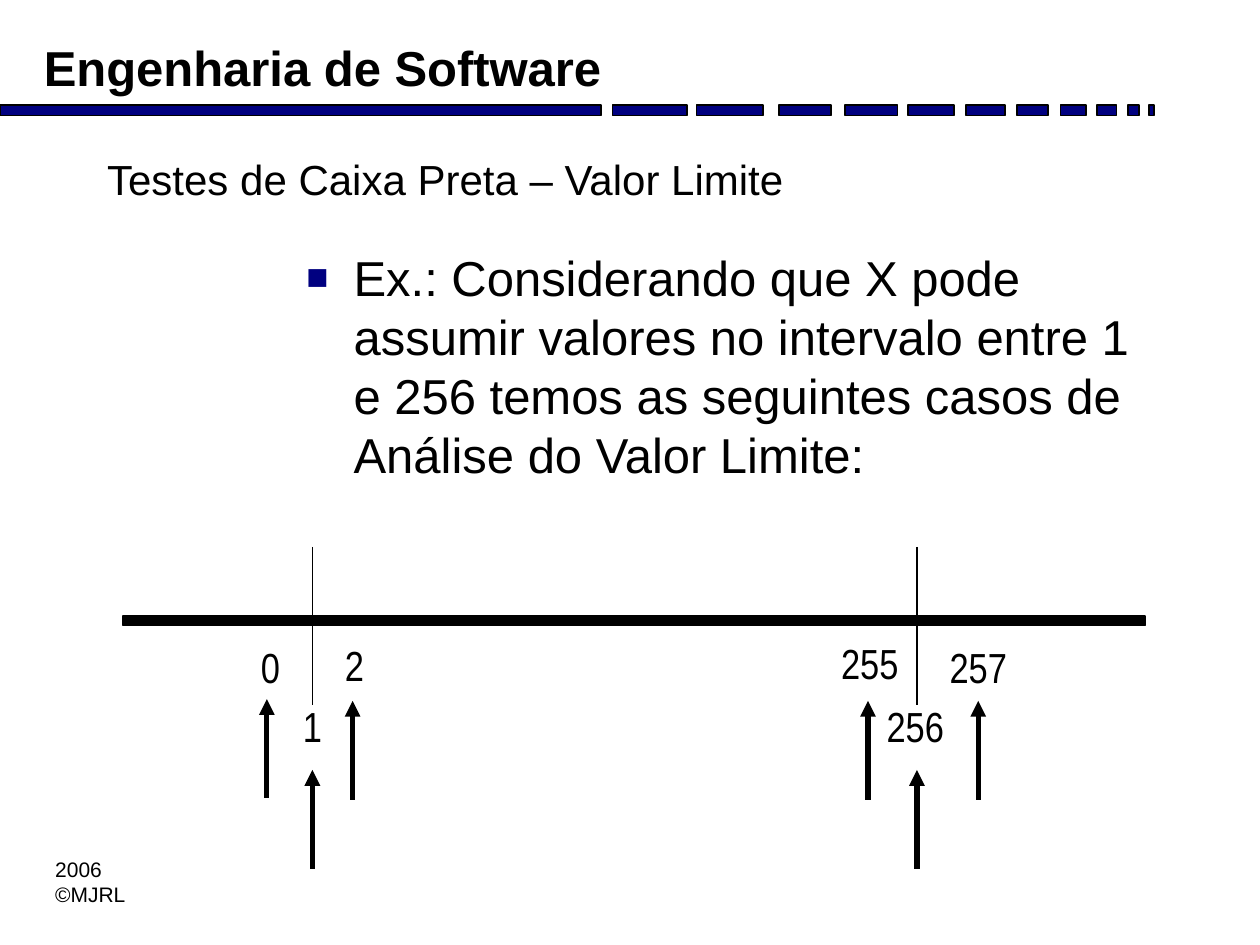
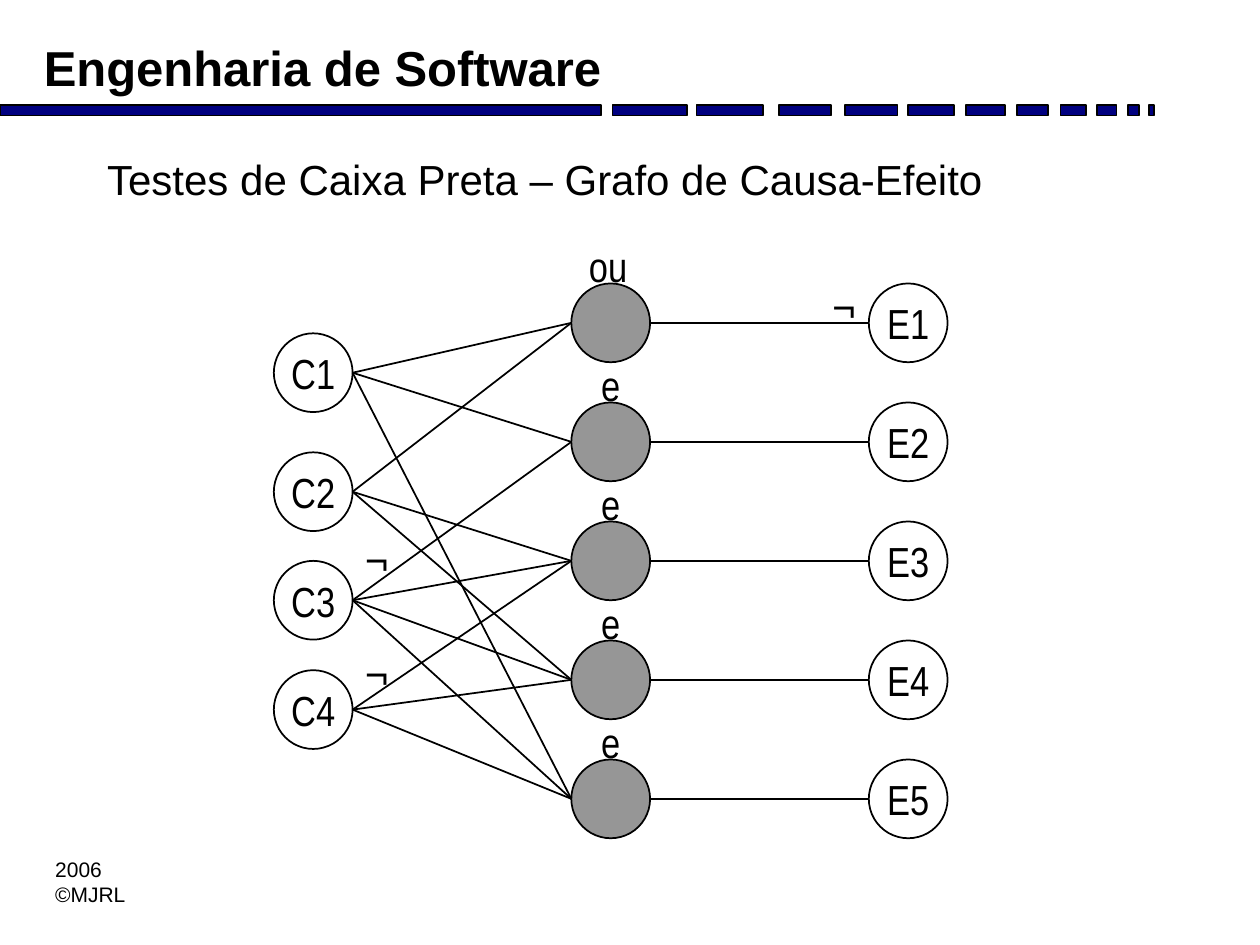
from collections import namedtuple
from pptx import Presentation
from pptx import util as u
from pptx.dml.color import RGBColor
from pptx.enum import shapes, text
from pptx.oxml.ns import qn
from lxml import etree

Theme = namedtuple("Theme", "ink navy gray white sans slim serif big mid small thin thick")
T = Theme(
    ink=RGBColor(0, 0, 0), navy=RGBColor(0, 0, 128),
    gray=RGBColor(150, 150, 150), white=RGBColor(255, 255, 255),
    sans="Arial", slim="Arial Narrow", serif="Times New Roman",
    big=28, mid=24, small=12, thin=1, thick=3,
)
Box = namedtuple("Box", "x y w h")
LEFT, MID = text.PP_ALIGN.LEFT, text.PP_ALIGN.CENTER
RECT, OVAL = shapes.MSO_SHAPE.RECTANGLE, shapes.MSO_SHAPE.OVAL


def pts(*vals):
    """Turn numbers into point lengths."""
    return [u.Pt(v) for v in vals]


def write(shape, words, size, face=T.sans, bold=False, align=LEFT, wrap=True,
          anchor=text.MSO_ANCHOR.TOP):
    """Fill a shape with text and format its runs."""
    frame = shape.text_frame
    frame.text = words
    frame.word_wrap = wrap
    frame.auto_size = text.MSO_AUTO_SIZE.NONE
    frame.vertical_anchor = anchor
    for para in frame.paragraphs:
        para.alignment = align
        for run in para.runs:
            font = run.font
            font.name, font.size, font.bold = face, u.Pt(size), bold
            font.color.rgb = T.ink
    return shape


def label(slide, words, box, size=T.mid, **style):
    """Add a text box."""
    return write(slide.shapes.add_textbox(*pts(*box)), words, size, **style)


def mark(slide, words, mid, top, width=48):
    """Add a narrow label centred on a given x."""
    label(slide, words, Box(mid - width / 2, top, width, 36),
          face=T.slim, align=MID, wrap=False)


def solid(pool, kind, box, fill):
    """Add a filled shape with a thin outline."""
    shape = pool.add_shape(kind, *pts(*box))
    shape.shadow.inherit = False
    shape.fill.solid()
    shape.fill.fore_color.rgb = fill
    shape.line.color.rgb = T.ink
    shape.line.width = u.Pt(T.thin)
    return shape


def line(slide, start, end, width=T.thin, arrow=False):
    """Draw a straight line, with an optional arrowhead at its start."""
    link = slide.shapes.add_connector(
        shapes.MSO_CONNECTOR.STRAIGHT, *pts(*start, *end))
    link.line.color.rgb = T.ink
    link.line.width = u.Pt(width)
    props = link._element.spPr
    if arrow:
        etree.SubElement(props.find(qn("a:ln")), qn("a:headEnd"), type="triangle")
    etree.SubElement(props, qn("a:effectLst"))


def band(slide, box):
    """Draw the row of shrinking bars under the header."""
    bars = [(0, 343.5), (350, 42.5), (398, 38), (445, 30), (483, 30), (519, 26),
            (552, 22.5), (581, 18), (606, 14.5), (627, 11), (644.5, 6.5), (656.5, 3)]
    group = slide.shapes.add_group_shape()
    for left, width in bars:
        solid(group.shapes, RECT, Box(box.x + left, box.y, width, box.h), T.navy)


def base(deck, title):
    """Add a slide with the shared header, band, footer and title."""
    slide = deck.slides.add_slide(deck.slide_layouts[5])
    band(slide, Box(0, 60, 660, 6))
    label(slide, "Engenharia de Software", Box(18, 18, 348, 40), T.big, bold=True)
    label(slide, "2006\n©MJRL", Box(24.5, 486, 55, 36), T.small, wrap=False)
    head = slide.shapes.title
    head.left, head.top, head.width, head.height = pts(54, 84, 612, 54)
    write(head, title, T.mid)
    return slide


def bullet(slide, words, box):
    """Add a paragraph with a square bullet."""
    para = label(slide, words, box, T.big).text_frame.paragraphs[0]
    para.space_after = u.Pt(3)
    props = para._p.get_or_add_pPr()
    props.set("marL", str(u.Pt(27)))
    props.set("indent", str(-u.Pt(27)))
    tint = etree.SubElement(props, qn("a:buClr"))
    etree.SubElement(tint, qn("a:srgbClr"), val=str(T.navy))
    etree.SubElement(props, qn("a:buSzPct"), val="75000")
    etree.SubElement(props, qn("a:buFont"), typeface=T.sans)
    etree.SubElement(props, qn("a:buChar"), char="■")


def axis(slide, box):
    """Draw the number line with its limits and test values."""
    solid(slide.shapes, RECT, Box(box.x, box.y + 39.5, box.w, 5.5), T.ink)
    for x in (108, 453.5):
        line(slide, (box.x + x, box.y), (box.x + x, box.y + 90.5))
    values = [("0", 84, 50.5, 82, 87), ("1", 108, 84.5, 108, 127.5),
              ("2", 132, 49.5, 131, 88), ("255", 426.5, 48.5, 425.5, 88),
              ("256", 452.5, 84.5, 453.5, 127.5), ("257", 488.5, 50.5, 488.5, 88)]
    for words, mid, top, x, tip in values:
        mark(slide, words, box.x + mid, box.y + top)
        line(slide, (box.x + x, box.y + tip), (box.x + x, box.y + tip + 56.5),
             T.thick, True)


def graph(slide, box):
    """Draw the causes, the operators, the effects and their links."""
    size, half, step = 45, 22.5, 68
    far = box.x + box.w - size
    core = (box.x + far) / 2
    rows = [box.y + step * i for i in range(5)]
    tops = [box.y + y for y in (28.5, 96.5, 158.5, 221)]

    def node(x, y, fill, words=""):
        """Add one circle of the graph."""
        disc = solid(slide.shapes, OVAL, Box(x, y, size, size), fill)
        if words:
            write(disc, words, T.mid, T.slim, align=MID, wrap=False,
                  anchor=text.MSO_ANCHOR.MIDDLE)

    for i, y in enumerate(tops, 1):
        node(box.x, y, T.white, f"C{i}")
    for i, y in enumerate(rows):
        node(far, y, T.white, f"E{i + 1}")
        node(core, y, T.gray)
        mark(slide, "e" if i else "ou", core + half - (0 if i else 1.5), y - 28)
        line(slide, (core + size, y + half), (far, y + half))
    for y, ends in zip(tops, [(0, 1, 4), (0, 2, 3), (1, 2, 3, 4), (2, 3, 4)]):
        for i in ends:
            line(slide, (box.x + size, y + half), (core, rows[i] + half))
    for x, y in ((box.x + size, 139.5), (box.x + size, 204.5), (far - 28, -5)):
        label(slide, "¬", Box(x, box.y + y, 28, 36), face=T.serif,
              bold=True, wrap=False)


def main():
    """Build both slides and save the deck."""
    deck = Presentation()
    deck.slide_width, deck.slide_height = pts(720, 540)
    limits = base(deck, "Testes de Caixa Preta – Valor Limite")
    bullet(limits, "Ex.: Considerando que X pode assumir valores no intervalo "
           "entre 1 e 256 temos as seguintes casos de Análise do Valor Limite:",
           Box(168, 138, 504, 155))
    axis(limits, Box(70.5, 312.5, 584, 185))
    causes = base(deck, "Testes de Caixa Preta – Grafo de Causa-Efeito")
    graph(causes, Box(156.5, 162, 385, 317))
    deck.save("out.pptx")


if __name__ == "__main__":
    main()
